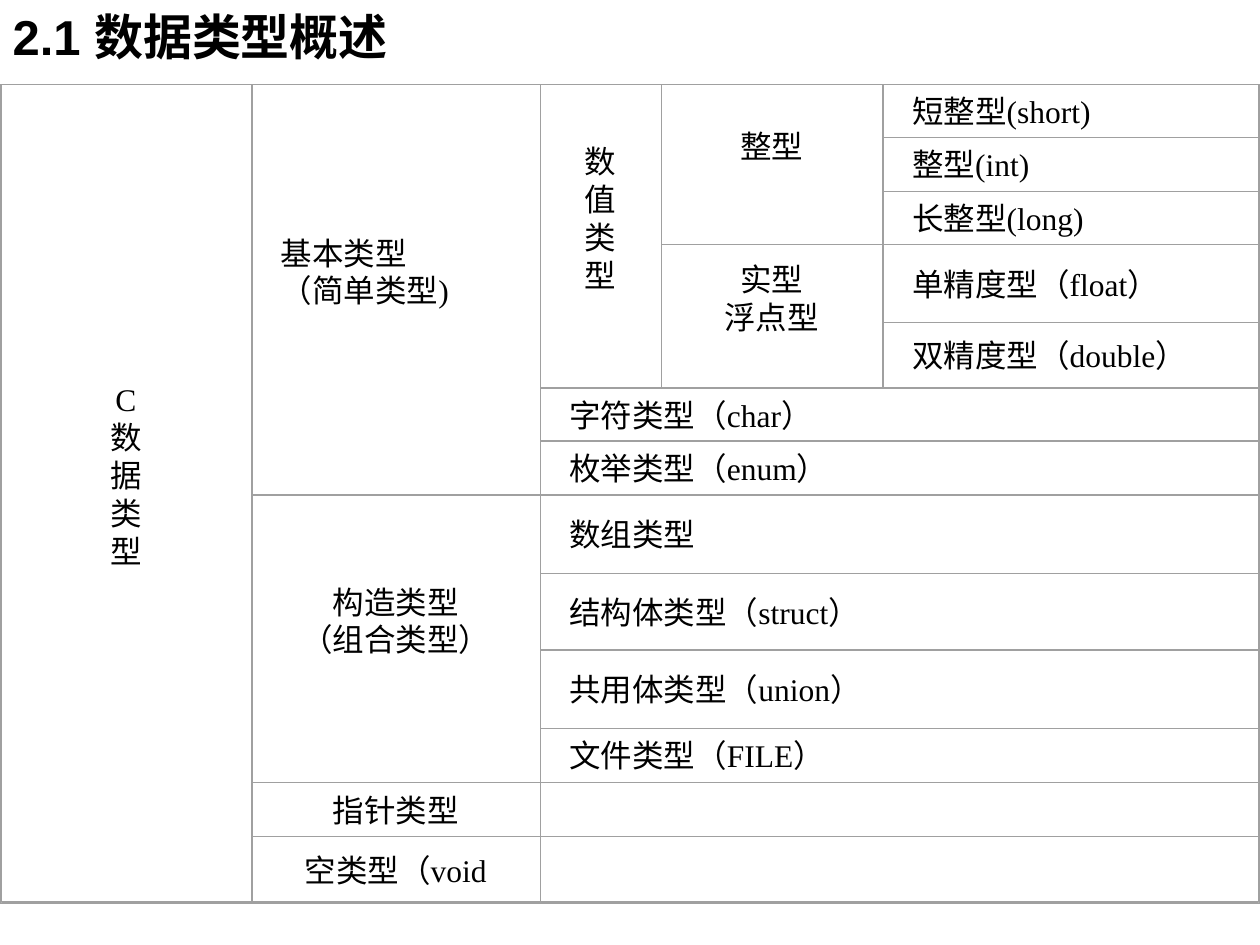
"""Build the slide that outlines the data types of C."""
from pptx import Presentation
from pptx import util as u
from pptx.dml.color import RGBColor
from pptx.enum import shapes, text

BLACK = RGBColor(0x00, 0x00, 0x00)
GREY = RGBColor(0xA0, 0xA0, 0xA0)

COLUMNS = [0.01, 2, 4.29, 5.25, 7.01, 9.99]
ROWS = [0.67, 1.09, 1.52, 1.94, 2.56, 3.08, 3.5, 3.93, 4.55, 5.16, 5.78, 6.21, 6.64, 7.16]

LEFT, CENTER, JUSTIFY = text.PP_ALIGN.LEFT, text.PP_ALIGN.CENTER, text.PP_ALIGN.JUSTIFY
LOW, RAISED = 0.05, 0.34

GROUPS = [
    (0, 1, 0, 13, "C\n数\n据\n类\n型", CENTER, RAISED),
    (1, 2, 0, 7, "基本类型\n（简单类型)", LEFT, RAISED),
    (2, 3, 0, 5, "数值类型", CENTER, RAISED),
    (3, 4, 0, 3, "整型", CENTER, RAISED),
    (3, 4, 3, 5, "实型\n浮点型", CENTER, RAISED),
    (1, 2, 7, 11, "构造类型\n（组合类型）", CENTER, RAISED),
    (1, 2, 11, 12, "指针类型", CENTER, LOW),
    (1, 2, 12, 13, "空类型（void", CENTER, LOW),
]
NUMERIC_TYPES = ["短整型(short)", "整型(int)", "长整型(long)", "单精度型（float）", "双精度型（double）"]
OTHER_TYPES = ["字符类型（char）", "枚举类型（enum）", "数组类型", "结构体类型（struct）",
               "共用体类型（union）", "文件类型（FILE）", "", ""]


class TypeChart:
    """Hold the style and the current slide."""

    title_font = {"name": "Arial", "size": u.Pt(28), "bold": True}
    cell_font = {"name": "Times New Roman", "size": u.Pt(18), "bold": False}

    def __init__(self, presentation):
        """Add a slide that has only a title."""
        self.slide = presentation.slides.add_slide(presentation.slide_layouts[5])

    def fill_text(self, shape, wording, font, alignment, frame_format):
        """Put formatted text into a shape."""
        frame = shape.text_frame
        for name, value in frame_format.items():
            setattr(frame, name, value)
        frame.text = wording
        for paragraph in frame.paragraphs:
            paragraph.alignment = alignment
            for name, value in font.items():
                setattr(paragraph.font, name, value)
            paragraph.font.color.rgb = BLACK

    def title(self, wording, left, top, width, height):
        """Place and fill the title placeholder."""
        shape = self.slide.shapes.title
        box = {"left": left, "top": top, "width": width, "height": height}
        for name, value in box.items():
            setattr(shape, name, u.Inches(value))
        self.fill_text(shape, wording, self.title_font, LEFT, {
            "word_wrap": True, "auto_size": text.MSO_AUTO_SIZE.SHAPE_TO_FIT_TEXT,
            "vertical_anchor": text.MSO_ANCHOR.TOP})

    def outline(self, left, top, right, bottom, weight=0):
        """Draw an unfilled rectangle."""
        shape = self.slide.shapes.add_shape(
            shapes.MSO_SHAPE.RECTANGLE, u.Inches(left), u.Inches(top),
            u.Inches(right - left), u.Inches(bottom - top))
        shape.shadow.inherit = False
        shape.fill.background()
        shape.line.color.rgb = GREY
        shape.line.width = u.Pt(weight)
        return shape

    def cell(self, first_column, last_column, first_row, last_row, wording, alignment, margin):
        """Draw a cell that spans grid lines, with its text."""
        shape = self.outline(COLUMNS[first_column], ROWS[first_row],
                             COLUMNS[last_column], ROWS[last_row])
        if wording:
            self.fill_text(shape, wording, self.cell_font, alignment, {
                "word_wrap": True, "vertical_anchor": text.MSO_ANCHOR.MIDDLE,
                "margin_left": u.Inches(0.23), "margin_right": u.Inches(0.24),
                "margin_top": u.Inches(0.05), "margin_bottom": u.Inches(margin)})


def main():
    """Build and save the presentation."""
    presentation = Presentation()
    presentation.slide_width, presentation.slide_height = u.Inches(10), u.Inches(7.5)
    chart = TypeChart(presentation)
    chart.title("2.1 数据类型概述", 0, 0, 6.33, 0.57)
    for group in GROUPS:
        chart.cell(*group)
    for row, wording in enumerate(NUMERIC_TYPES + OTHER_TYPES):
        column = 4 if row < len(NUMERIC_TYPES) else 2
        chart.cell(column, 5, row, row + 1, wording, JUSTIFY, LOW)
    chart.outline(0, 0.67, 10, 7.17, 0.88)
    presentation.save("out.pptx")


if __name__ == "__main__":
    main()
